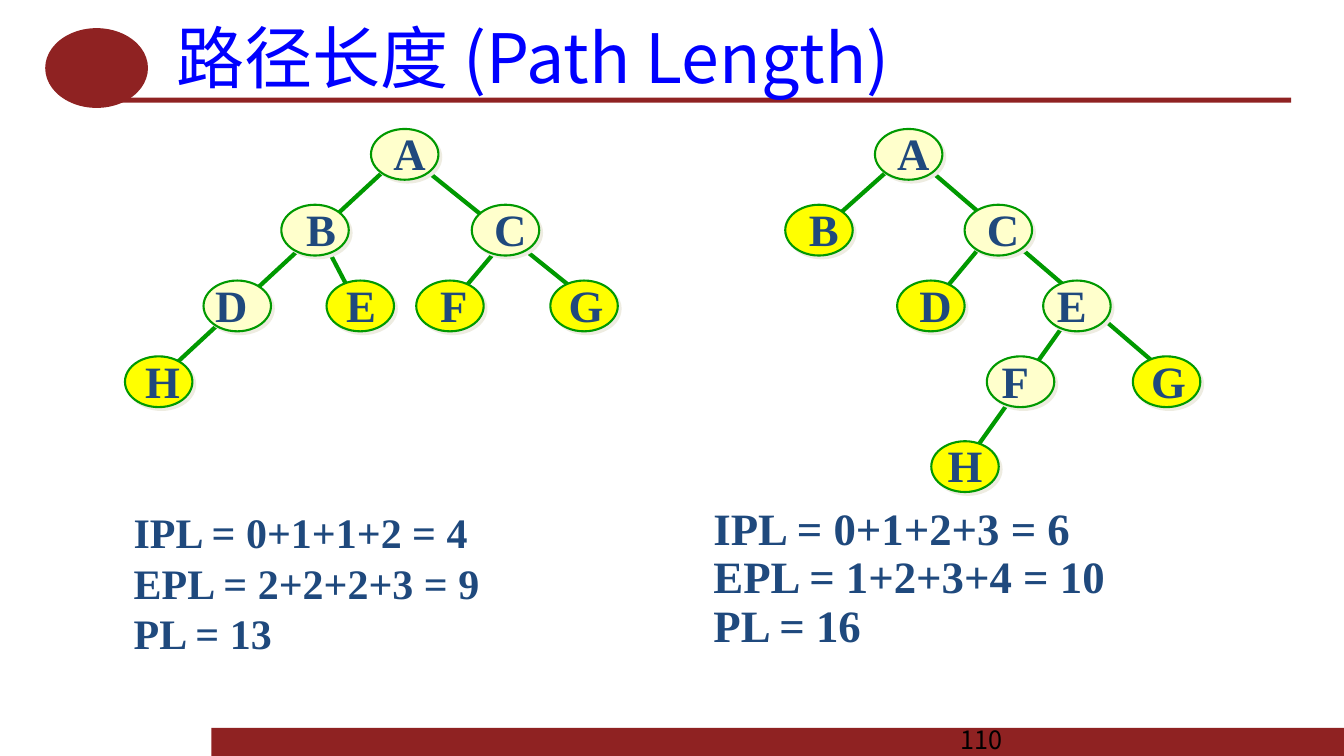
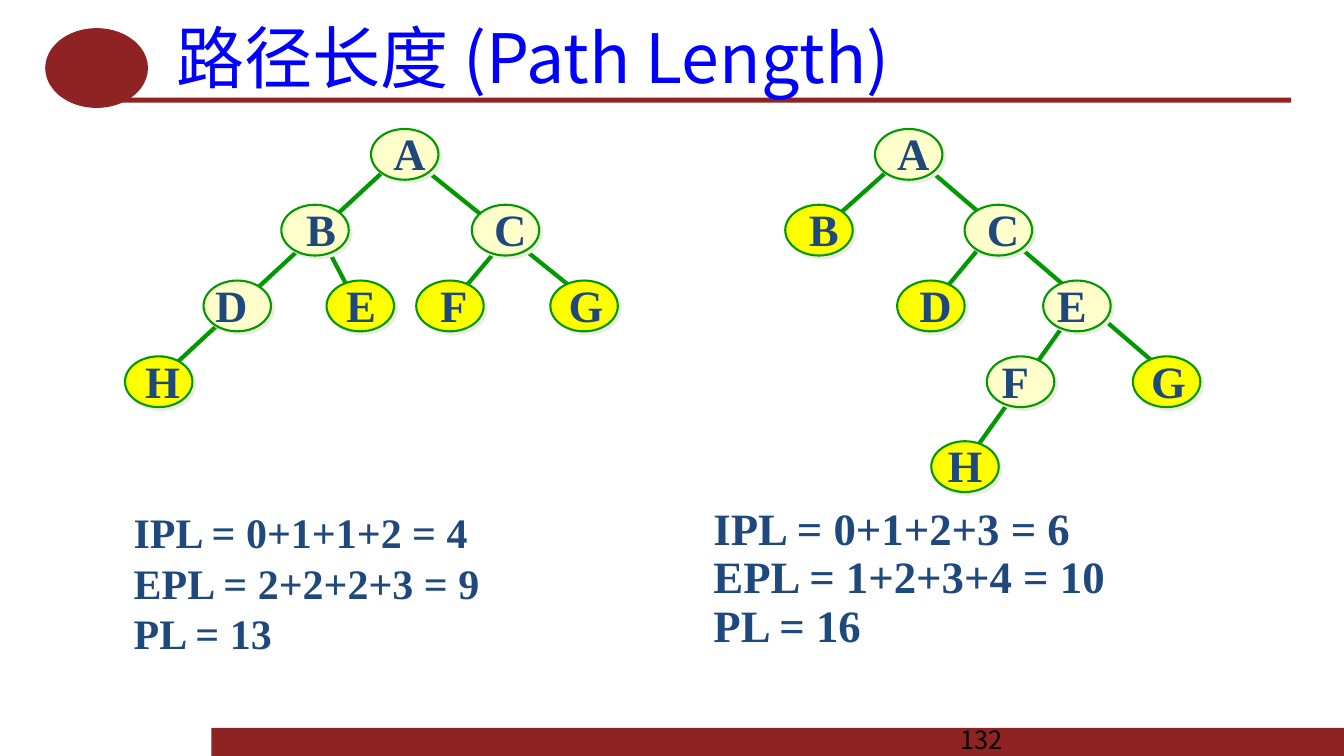
import pptx
import pptx.util
import pptx.dml.color
import pptx.enum.shapes
import pptx.enum.text
import pptx.oxml.ns
import lxml.etree

Cm = pptx.util.Cm
Pt = pptx.util.Pt
qn = pptx.oxml.ns.qn
kinds = pptx.enum.shapes.MSO_SHAPE
aligns = pptx.enum.text.PP_ALIGN

hues = {
    "band": "8F2222", "title": "0000FF", "page": "000000", "text": "1F497D",
    "edge": "009900", "inner": "FFFFCC", "leaf": "FFFF00", "shade": "EEECE1",
}
sans, serif = "Noto Sans CJK JP", "Times New Roman"


def rgb(hue):
    return pptx.dml.color.RGBColor.from_string(hues[hue])


def write(slide, box, lines, size, font, hue, bold=False, align=aligns.LEFT,
          inset=(0.25, 0.13), wrap=True, space=1.0):
    frame = slide.shapes.add_textbox(*map(Cm, box)).text_frame
    frame.word_wrap = wrap
    frame.vertical_anchor = pptx.enum.text.MSO_ANCHOR.MIDDLE
    frame.margin_left = frame.margin_right = Cm(inset[0])
    frame.margin_top = frame.margin_bottom = Cm(inset[1])
    frame.text = "\n".join(lines)
    for para in frame.paragraphs:
        para.alignment = align
        para.line_spacing = space
        para.font.size = Pt(size)
        para.font.bold = bold
        para.font.name = font
        para.font.color.rgb = rgb(hue)
        # East Asian letters use the same font
        props = para._p.pPr.find(qn("a:defRPr"))
        lxml.etree.SubElement(props, qn("a:ea"), typeface=font)


# Slide frame: shape kind and box
bands = [
    (kinds.RECTANGLE, (5.33, 18.34, 28.54, 0.71)),
    (kinds.RECTANGLE, (3, 2.46, 29.54, 0.13)),
    (kinds.OVAL, (1.14, 0.71, 2.59, 2.01)),
]

# Trees: nodes give letter, left, row and label shift
node_w, node_h = 1.7, 1.28
top, pitch = 3.25, 1.91
trees = [
    {
        "leaves": "EFGH",
        "nodes": [
            ("A", 9.35, 0, -0.03), ("B", 7.09, 1, 0), ("C", 11.89, 1, -0.03),
            ("D", 5.13, 2, -0.3), ("E", 8.23, 2, -0.13),
            ("F", 10.49, 2, -0.05), ("G", 13.87, 2, -0.1),
            ("H", 3.15, 3, -0.05),
        ],
        "edges": [
            (12.75, 6.02, 11.33, 7.7), (8.23, 6.22, 8.79, 7.29),
            (10.77, 4.32, 14.71, 7.49), (9.91, 4.09, 3.71, 9.83),
        ],
        "sums": ["IPL = 0+1+1+2 = 4", "EPL = 2+2+2+3 = 9", "PL = 13"],
        "box": (3.12, 12.62, 9.32, 4.11), "size": 30, "space": 1.0,
    },
    {
        "leaves": "BDGH",
        "nodes": [
            ("A", 22.05, 0, -0.03), ("B", 19.79, 1, -0.03),
            ("C", 24.31, 1, -0.03), ("D", 22.61, 2, -0.03),
            ("E", 26.29, 2, -0.28), ("F", 24.87, 3, -0.28),
            ("G", 28.55, 3, -0.1), ("H", 23.47, 4.12, -0.15),
        ],
        "edges": [
            (24.87, 6.02, 23.47, 7.7), (26.85, 8.13, 24.59, 11.3),
            (23.47, 4.32, 29.39, 9.4), (22.61, 4.09, 20.93, 5.59),
        ],
        "sums": ["IPL = 0+1+2+3 = 6", "EPL = 1+2+3+4 = 10", "PL = 16"],
        "box": (17.73, 12.62, 10.46, 3.96), "size": 32, "space": 0.9,
    },
]

deck = pptx.Presentation()
deck.slide_width, deck.slide_height = Cm(33.87), Cm(19.05)

for page in ("110", "132"):
    slide = deck.slides.add_slide(deck.slide_layouts[6])

    # Bands and page number
    for kind, box in bands:
        band = slide.shapes.add_shape(kind, *map(Cm, box))
        band.shadow.inherit = False
        band.fill.solid()
        band.fill.fore_color.rgb = rgb("band")
        band.line.fill.background()
    write(slide, (23.88, 18.29, 7.9, 0.71), [page], 18, sans, "page",
          inset=(0.33, 0.15))

    for tree in trees:
        # Edges lie behind the nodes
        for ends in tree["edges"]:
            edge = slide.shapes.add_connector(
                pptx.enum.shapes.MSO_CONNECTOR.STRAIGHT, *map(Cm, ends))
            edge.line.color.rgb = rgb("edge")
            edge.line.width = Pt(3)
            lxml.etree.SubElement(edge._element.spPr, qn("a:effectLst"))

        # Nodes with a hard shadow, and their letters
        for name, left, row, shift in tree["nodes"]:
            y = top + row * pitch
            node = slide.shapes.add_shape(
                kinds.OVAL, Cm(left), Cm(y), Cm(node_w), Cm(node_h))
            node.fill.solid()
            node.fill.fore_color.rgb = rgb(
                "leaf" if name in tree["leaves"] else "inner")
            node.line.color.rgb = rgb("edge")
            node.line.width = Pt(1.5)
            node.shadow.inherit = False
            glow = lxml.etree.SubElement(
                node._element.spPr.find(qn("a:effectLst")), qn("a:outerShdw"),
                blurRad="0", dist=str(Pt(2.8)), dir="2700000",
                algn="ctr", rotWithShape="0")
            lxml.etree.SubElement(glow, qn("a:srgbClr"), val=hues["shade"])
            write(slide, (left + shift, y - 0.2, 2, 1.6), [name], 32, serif,
                  "text", bold=True, align=aligns.CENTER)

        # Path lengths
        write(slide, tree["box"], tree["sums"], tree["size"], serif, "text",
              bold=True, wrap=False, space=tree["space"])

    # Title
    write(slide, (4.11, 0.53, 28.42, 1.8), ["路径长度 (Path Length)"], 48.6,
          sans, "title", inset=(0.33, 0.15))

deck.save("out.pptx")
